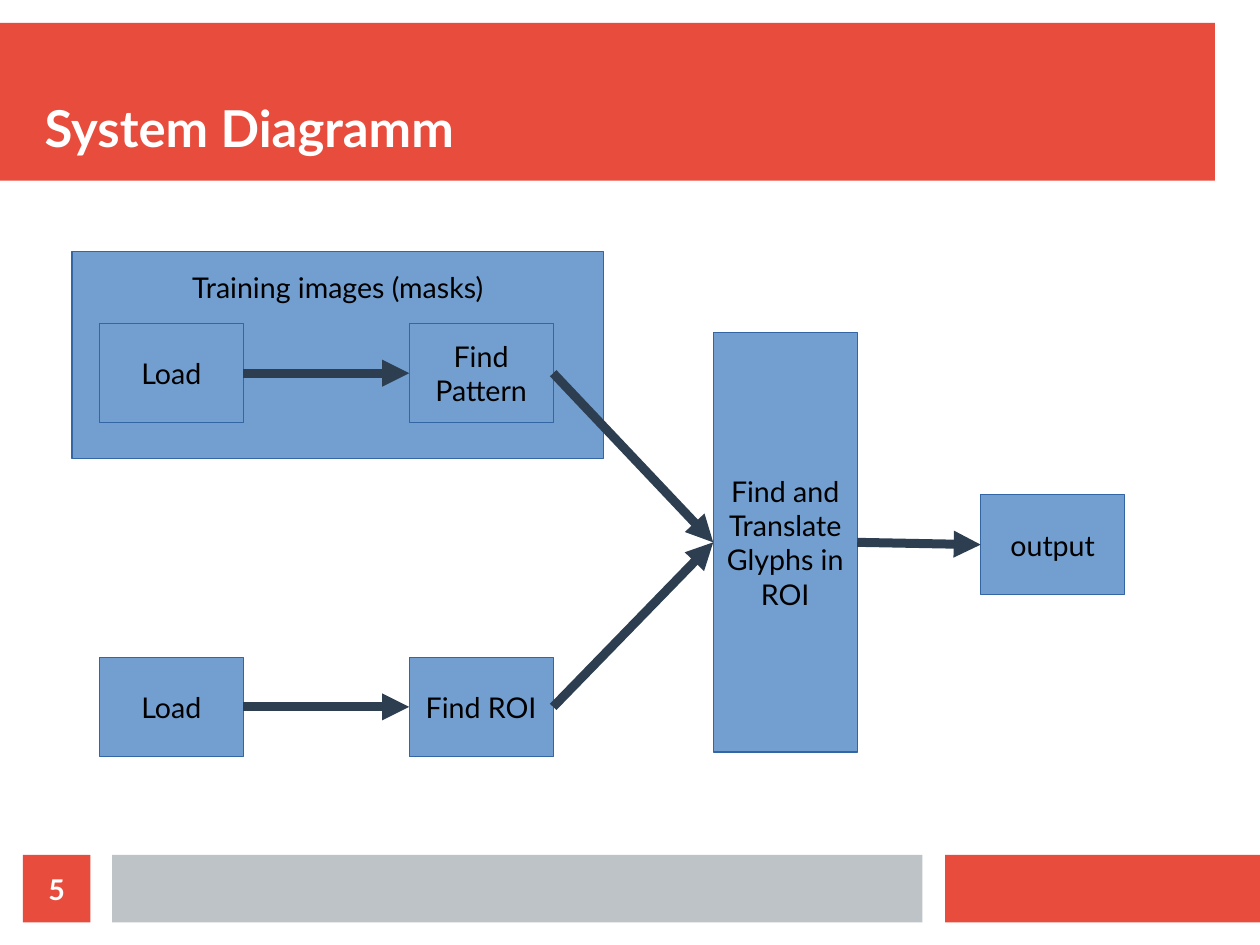
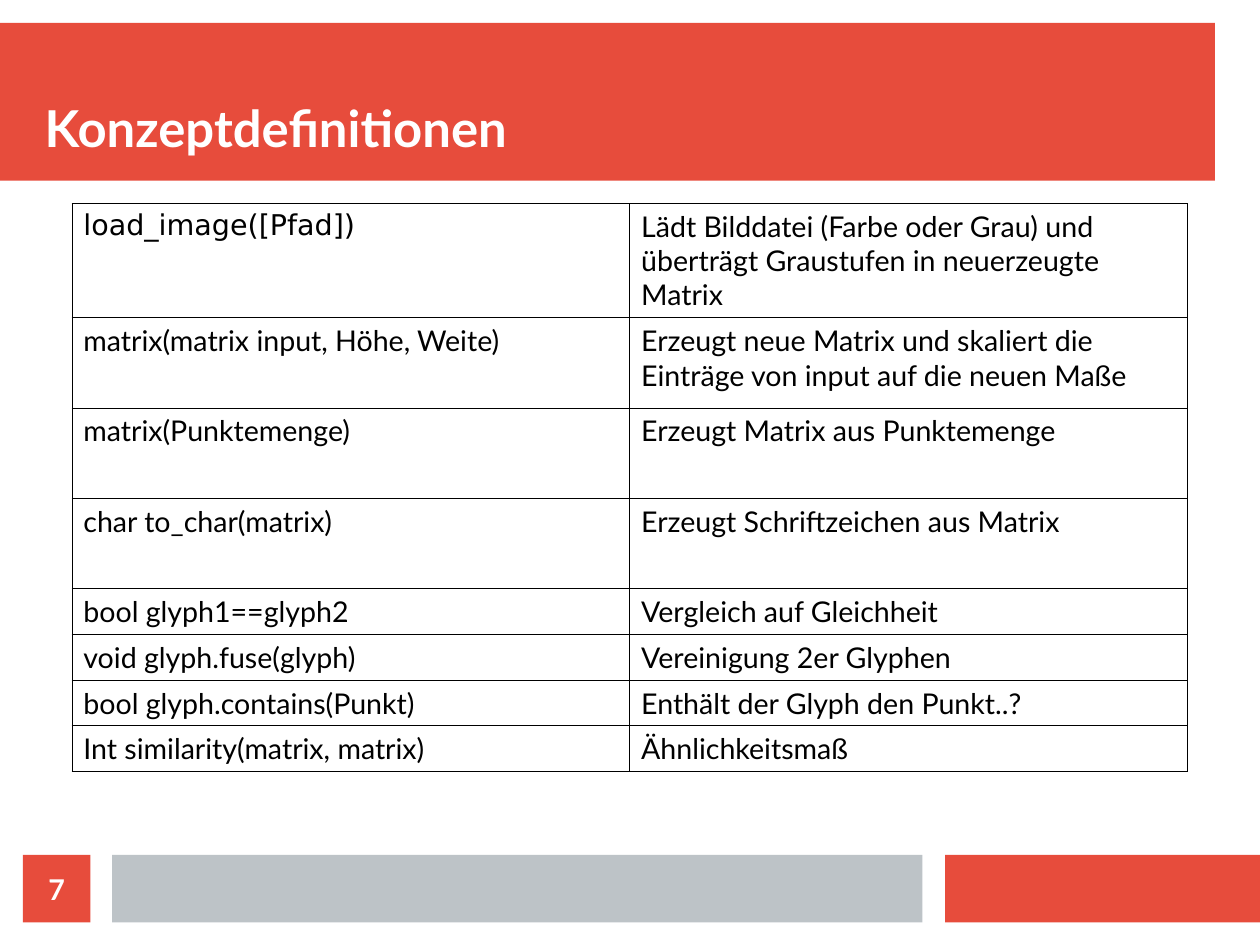
from dataclasses import dataclass

from lxml import etree
from pptx import Presentation
from pptx.dml.color import RGBColor
from pptx.enum.shapes import MSO_CONNECTOR, MSO_SHAPE
from pptx.enum.text import MSO_ANCHOR, MSO_AUTO_SIZE, PP_ALIGN
from pptx.oxml import parse_xml
from pptx.oxml.ns import nsdecls, qn
from pptx.util import Cm, Inches, Pt

RECT = MSO_SHAPE.RECTANGLE
STRAIGHT = MSO_CONNECTOR.STRAIGHT
TOP, MIDDLE, BOTTOM = MSO_ANCHOR.TOP, MSO_ANCHOR.MIDDLE, MSO_ANCHOR.BOTTOM
LEFT, CENTER = PP_ALIGN.LEFT, PP_ALIGN.CENTER
LEFT_SITE, RIGHT_SITE = 1, 3


@dataclass(frozen=True)
class Theme:
    accent: str = "E74C3C"
    band: str = "BDC3C7"
    box: str = "729FCF"
    box_line: str = "3465A4"
    arrow: str = "2C3E50"
    text: str = "000000"
    light: str = "FFFFFF"
    font: str = "Lato"
    code_font: str = "DejaVu Sans"
    title_size: float = 32
    body_size: float = 18
    arrow_width: float = 5.67
    border_width: float = 0.57


THEME = Theme()

FOOTER_TOP, FOOTER_HEIGHT = 7.48, 0.59
TITLE_AREA = (0.39, 0.4, 10.24, 0.98)
NUMBER_AREA = (0.2, FOOTER_TOP, 0.59, FOOTER_HEIGHT)
BANDS = [
    ((0, 0.2, 10.63, 1.38), THEME.accent),
    ((8.27, FOOTER_TOP, 2.76, FOOTER_HEIGHT), THEME.accent),
    ((0.98, FOOTER_TOP, 7.09, FOOTER_HEIGHT), THEME.band),
]

BOX_WIDTH, BOX_HEIGHT = 1.26, 0.87
LOAD_X, FIND_X, TRANSLATE_X, OUTPUT_X = 0.87, 3.58, 6.24, 8.58
TRAINING_Y, INPUT_Y, OUTPUT_Y = 2.83, 5.75, 4.33
TRAINING_GROUP = ("Training images (masks)", (0.63, 2.2, 4.65, 1.81))
GROUP_INSET = 0.16
# name: (text, left, top, height)
BOXES = {
    "load_training": ("Load", LOAD_X, TRAINING_Y, BOX_HEIGHT),
    "find_pattern": ("Find\nPattern", FIND_X, TRAINING_Y, BOX_HEIGHT),
    "load_input": ("Load", LOAD_X, INPUT_Y, BOX_HEIGHT),
    "find_roi": ("Find ROI", FIND_X, INPUT_Y, BOX_HEIGHT),
    "translate": ("Find and\nTranslate\nGlyphs in\nROI", TRANSLATE_X, 2.91, 3.67),
    "output": ("output", OUTPUT_X, OUTPUT_Y, BOX_HEIGHT),
}
FLOWS = [
    ("load_training", "find_pattern"),
    ("load_input", "find_roi"),
    ("find_pattern", "translate"),
    ("find_roi", "translate"),
    ("translate", "output"),
]

TABLE_LEFT, TABLE_TOP, COLUMN_WIDTH = 0.63, 1.78, 4.88
# (function, meaning, row height)
DEFINITIONS = [
    ("load_image([Pfad])",
     "Lädt Bilddatei (Farbe oder Grau) und überträgt Graustufen in neuerzeugte Matrix", 0.97),
    ("matrix(matrix input, Höhe, Weite)",
     "Erzeugt neue Matrix und skaliert die Einträge von input auf die neuen Maße", 0.79),
    ("matrix(Punktemenge)", "Erzeugt Matrix aus Punktemenge", 0.79),
    ("char to_char(matrix)", "Erzeugt Schriftzeichen aus Matrix", 0.79),
    ("bool glyph1==glyph2", "Vergleich auf Gleichheit", 0.4),
    ("void glyph.fuse(glyph)", "Vereinigung 2er Glyphen", 0.4),
    ("bool glyph.contains(Punkt)", "Enthält der Glyph den Punkt..?", 0.4),
    ("Int similarity(matrix, matrix)", "Ähnlichkeitsmaß", 0.4),
]


def rgb(color):
    return RGBColor.from_string(color)


def inches(values):
    return [Inches(v) for v in values]


def write(tf, text, color=THEME.text, size=THEME.body_size, bold=False,
          align=LEFT, font=THEME.font):
    tf.text = text
    for p in tf.paragraphs:
        p.alignment = align
        p.font.name = font
        p.font.size = Pt(size)
        p.font.bold = bold
        p.font.color.rgb = rgb(color)


def clear_margins(tf):
    tf.margin_left = tf.margin_top = tf.margin_right = tf.margin_bottom = 0


def add_rect(s, area, fill, line=None):
    sp = s.shapes.add_shape(RECT, *inches(area))
    sp.shadow.inherit = False
    sp.fill.solid()
    sp.fill.fore_color.rgb = rgb(fill)
    if line:
        sp.line.color.rgb = rgb(line)
        sp.line.width = Pt(0)
    else:
        sp.line.fill.background()
    return sp


def add_box(s, text, area, anchor=MIDDLE):
    sp = add_rect(s, area, THEME.box, THEME.box_line)
    tf = sp.text_frame
    tf.word_wrap = False
    tf.vertical_anchor = anchor
    write(tf, text, align=CENTER)
    return sp


def add_arrow(s, start, end):
    line = s.shapes.add_connector(STRAIGHT, 0, 0, 0, 0)
    line.begin_connect(start, RIGHT_SITE)
    line.end_connect(end, LEFT_SITE)
    line.line.color.rgb = rgb(THEME.arrow)
    line.line.width = Pt(THEME.arrow_width)
    etree.SubElement(line.line._get_or_add_ln(), qn("a:tailEnd"), type="triangle")
    etree.SubElement(line.element.spPr, qn("a:effectLst"))


def add_borders(cell):
    tcPr = cell._tc.get_or_add_tcPr()
    for side in ("lnL", "lnR", "lnT", "lnB"):
        tcPr.append(parse_xml(
            f'<a:{side} {nsdecls("a")} w="{Pt(THEME.border_width)}"><a:solidFill>'
            f'<a:srgbClr val="{THEME.text}"/></a:solidFill></a:{side}>'))


def add_slide(prs, title, number):
    """Add a slide with the shared bands, title and slide number."""
    s = prs.slides.add_slide(prs.slide_layouts[5])
    for area, color in BANDS:
        add_rect(s, area, color)

    sp = s.shapes.title
    sp.left, sp.top, sp.width, sp.height = inches(TITLE_AREA)
    sp.element.getparent().append(sp.element)  # in front of the bands
    tf = sp.text_frame
    clear_margins(tf)
    tf.auto_size = MSO_AUTO_SIZE.NONE
    tf.vertical_anchor = BOTTOM
    write(tf, title, THEME.light, THEME.title_size, bold=True)

    tf = add_rect(s, NUMBER_AREA, THEME.accent).text_frame
    clear_margins(tf)
    tf.vertical_anchor = MIDDLE
    write(tf, str(number), THEME.light, bold=True, align=CENTER)
    return s


def build_diagram(prs):
    s = add_slide(prs, "System Diagramm", 5)
    group = add_box(s, *TRAINING_GROUP, anchor=TOP)
    group.text_frame.margin_top = Inches(GROUP_INSET)
    boxes = {name: add_box(s, text, (left, top, BOX_WIDTH, height))
             for name, (text, left, top, height) in BOXES.items()}
    for start, end in FLOWS:
        add_arrow(s, boxes[start], boxes[end])


def build_definitions(prs):
    s = add_slide(prs, "Konzeptdefinitionen", 7)
    height = sum(row[-1] for row in DEFINITIONS)
    table = s.shapes.add_table(
        len(DEFINITIONS), 2,
        *inches((TABLE_LEFT, TABLE_TOP, 2 * COLUMN_WIDTH, height))).table
    table.first_row = table.horz_banding = False
    for column in table.columns:
        column.width = Inches(COLUMN_WIDTH)
    for i, (*texts, row_height) in enumerate(DEFINITIONS):
        table.rows[i].height = Inches(row_height)
        for j, text in enumerate(texts):
            cell = table.cell(i, j)
            add_borders(cell)
            cell.fill.background()
            font = THEME.code_font if (i, j) == (0, 0) else THEME.font
            write(cell.text_frame, text, font=font)


def main():
    prs = Presentation()
    prs.slide_width = Cm(28)
    prs.slide_height = Cm(21)
    build_diagram(prs)
    build_definitions(prs)
    prs.save("out.pptx")


if __name__ == "__main__":
    main()
